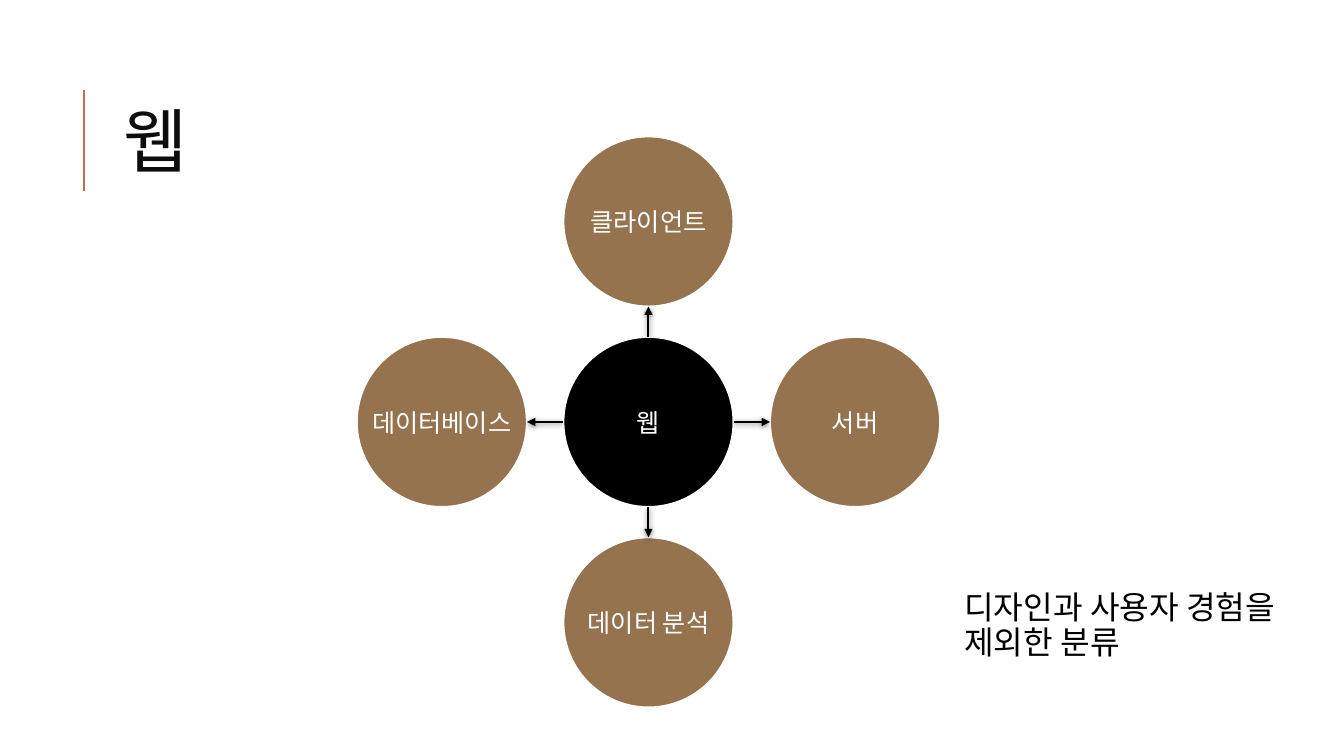
from lxml import etree
from pptx import Presentation
from pptx import util as u
from pptx.dml.color import RGBColor
from pptx.enum import shapes, text
from pptx.oxml import parse_xml
from pptx.oxml.ns import qn

Pt = u.Pt
FONT = "Noto Sans CJK KR"
BLACK = RGBColor(0x00, 0x00, 0x00)
WHITE = RGBColor(0xFF, 0xFF, 0xFF)
INK = RGBColor(0x0D, 0x0D, 0x0D)
BROWN = RGBColor(0x94, 0x73, 0x4E)
RUST = RGBColor(0xC6, 0x69, 0x51)
LINE_WIDTH = Pt(1.5)
SHADOW = (
    '<a:effectLst xmlns:a="http://schemas.openxmlformats.org/drawingml/2006/main">'
    '<a:outerShdw blurRad="50800" dist="12700" dir="5400000" rotWithShape="0">'
    '<a:srgbClr val="000000"><a:alpha val="50000"/></a:srgbClr>'
    '</a:outerShdw></a:effectLst>'
)


def set_attrs(obj, values):
    for name, value in values.items():
        setattr(obj, name, value)


def write(tf, words, size, color, frame, para):
    """Put one formatted paragraph into a text frame."""
    set_attrs(tf, {"vertical_anchor": text.MSO_ANCHOR.MIDDLE, **frame})
    p = tf.paragraphs[0]
    set_attrs(p, para)
    r = p.add_run()
    r.text = words
    r.font.color.rgb = color
    set_attrs(r.font, {"size": Pt(size), "name": FONT})
    rPr = r.font._element
    etree.SubElement(rPr, qn("a:ea")).set("typeface", FONT)
    return rPr


def add_line(s, start, end, color, arrow=False):
    sp = s.shapes.add_connector(shapes.MSO_CONNECTOR.STRAIGHT,
                                *(Pt(v) for v in (*start, *end)))
    sp.line.color.rgb = color
    sp.line.width = LINE_WIDTH
    spPr = sp._element.spPr
    if arrow:
        etree.SubElement(spPr.find(qn("a:ln")), qn("a:tailEnd")).set("type", "triangle")
        spPr.append(parse_xml(SHADOW))
    else:
        etree.SubElement(spPr, qn("a:effectLst"))


def add_title(s, x, y, w, h):
    # Accent rule to the left of the title
    add_line(s, (x - 21, y + 90.5), (x - 21, y + 18.5), RUST)
    sp = s.shapes.title
    set_attrs(sp, {"left": Pt(x), "top": Pt(y), "width": Pt(w), "height": Pt(h)})
    rPr = write(sp.text_frame, "웹", 50, INK, {"word_wrap": True},
                {"line_spacing": 0.8, "alignment": text.PP_ALIGN.LEFT})
    rPr.set("spc", "100")


def add_note(s, x, y, w, h):
    tf = s.shapes.add_textbox(Pt(x), Pt(y), Pt(w), Pt(h)).text_frame
    write(tf, "디자인과 사용자 경험을 제외한 분류", 23, BLACK,
          {"word_wrap": True, "margin_left": Pt(10.8), "margin_right": Pt(10.8)},
          {"line_spacing": 0.9})


def add_circle(s, cx, cy, d, words, fill):
    sp = s.shapes.add_shape(shapes.MSO_SHAPE.OVAL,
                            Pt(cx - d / 2), Pt(cy - d / 2), Pt(d), Pt(d))
    sp.shadow.inherit = False
    sp.fill.solid()
    sp.fill.fore_color.rgb = fill
    sp.line.color.rgb = WHITE
    sp.line.width = LINE_WIDTH
    write(sp.text_frame, words, 18, WHITE, {"word_wrap": False},
          {"alignment": text.PP_ALIGN.CENTER})


def add_radial(s, x, y, w, h, d):
    """Hub in the middle of the box, one circle touching each side."""
    cx, cy = x + w / 2, y + h / 2
    step_x, step_y, rad = (w - d) / 2, (h - d) / 2, d / 2
    branches = [("클라이언트", 0, -1), ("서버", 1, 0),
                ("데이터 분석", 0, 1), ("데이터베이스", -1, 0)]
    # Circles
    add_circle(s, cx, cy, d, "웹", BLACK)
    for words, dx, dy in branches:
        add_circle(s, cx + dx * step_x, cy + dy * step_y, d, words, BROWN)
    # Arrows from the hub's edge to each circle's edge
    for _, dx, dy in branches:
        add_line(s, (cx + dx * rad, cy + dy * rad),
                 (cx + dx * (step_x - rad), cy + dy * (step_y - rad)), BLACK, True)


def main():
    prs = Presentation()
    prs.slide_width, prs.slide_height = Pt(960), Pt(540)
    s = prs.slides.add_slide(prs.slide_layouts[5])
    add_title(s, 81, 46, 765, 118)
    add_note(s, 678, 390, 252, 115)
    add_radial(s, 254.8, 97.4, 416.8, 408, 121.6)
    prs.save("out.pptx")


if __name__ == "__main__":
    main()
